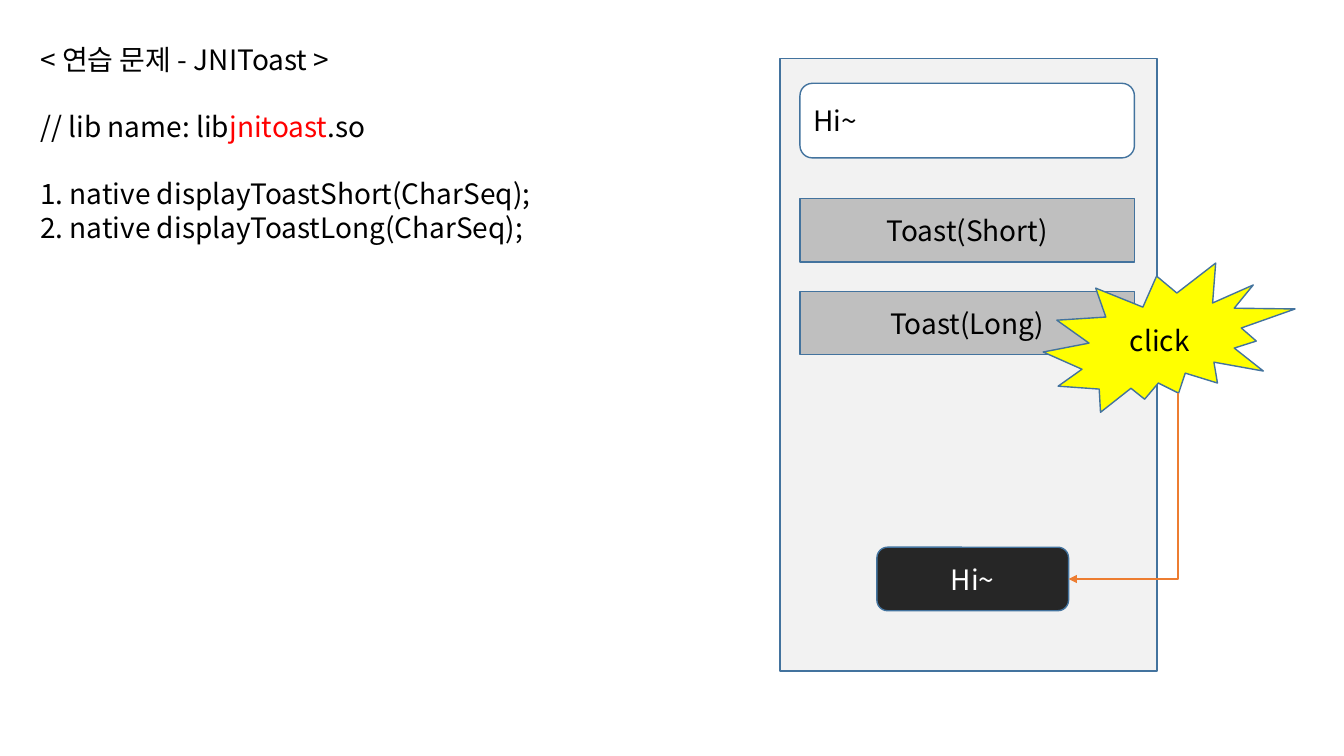
from lxml.etree import SubElement
from pptx import Presentation
from pptx.dml.color import RGBColor
from pptx.enum.shapes import MSO_CONNECTOR, MSO_SHAPE
from pptx.enum.text import MSO_ANCHOR, MSO_AUTO_SIZE, PP_ALIGN
from pptx.oxml.ns import qn
from pptx.util import Cm, Pt

COLORS = {
    "text": "000000", "accent": "FF0000", "white": "FFFFFF", "outline": "43739E",
    "screen": "F2F2F2", "button": "BFBFBF", "toast": "262626",
    "burst": "FFFF00", "arrow": "ED7D31",
}
FONT = "Noto Sans CJK KR"
LINE_PITCH = Pt(24)


def color(name):
    return RGBColor.from_string(COLORS[name])


def style_paragraph(para, align, ink="text"):
    para.alignment = align
    para.font.name = FONT
    para.font.size = Pt(20)
    para.font.color.rgb = color(ink)


def place_placeholder(holder, left, top, width, height):
    holder.left, holder.top = Cm(left), Cm(top)
    holder.width, holder.height = Cm(width), Cm(height)
    frame = holder.text_frame
    frame.auto_size = MSO_AUTO_SIZE.NONE
    frame.word_wrap = True
    frame.vertical_anchor = MSO_ANCHOR.TOP
    return frame


def style_line(para, gap=0):
    style_paragraph(para, PP_ALIGN.LEFT)
    para.line_spacing = LINE_PITCH
    para.space_before = Pt(gap)
    para.space_after = Pt(0)


def add_exercise(page, left, top, width):
    title = place_placeholder(page.shapes.title, left, top, width, 1.2)
    title.text = "< 연습 문제 - JNIToast >"
    style_line(title.paragraphs[0])

    body = place_placeholder(page.placeholders[1], left, top + 1.69, width, 4.5)
    lines = [
        (0, [("// lib name: lib", "text"), ("jnitoast", "accent"), (".so", "text")]),
        (24, [("1. native displayToastShort(CharSeq);", "text")]),
        (0, [("2. native displayToastLong(CharSeq);", "text")]),
    ]
    for index, (gap, spans) in enumerate(lines):
        para = body.add_paragraph() if index else body.paragraphs[0]
        style_line(para, gap)
        properties = para._p.get_or_add_pPr()
        properties.set("marL", "0")
        properties.set("indent", "0")
        bullet = SubElement(properties, qn("a:buNone"))
        properties.find(qn("a:defRPr")).addprevious(bullet)
        for words, ink in spans:
            span = para.add_run()
            span.text = words
            if ink != "text":
                span.font.color.rgb = color(ink)


def add_part(group, kind, box, fill, words="", ink="text", align=PP_ALIGN.CENTER):
    part = group.shapes.add_shape(kind, *(Cm(length) for length in box))
    part.shadow.inherit = False
    part.fill.solid()
    part.fill.fore_color.rgb = color(fill)
    part.line.color.rgb = color("outline")
    part.line.width = Pt(1)
    if words:
        frame = part.text_frame
        frame.word_wrap = True
        frame.vertical_anchor = MSO_ANCHOR.MIDDLE
        frame.text = words
        style_paragraph(frame.paragraphs[0], align, ink)


def add_bent_arrow(group, start, end):
    (start_x, start_y), (end_x, end_y) = start, end
    length, depth = end_y - start_y, start_x - end_x
    middle_x, middle_y = (start_x + end_x) / 2, (start_y + end_y) / 2
    arrow = group.shapes.add_connector(
        MSO_CONNECTOR.ELBOW,
        Cm(middle_x - length / 2), Cm(middle_y - depth / 2),
        Cm(middle_x + length / 2), Cm(middle_y + depth / 2),
    )
    arrow.line.color.rgb = color("arrow")
    arrow.line.width = Pt(1.5)
    properties = arrow.element.spPr
    properties.find(qn("a:xfrm")).set("rot", "5400000")
    properties.find(qn("a:prstGeom")).set("prst", "bentConnector2")
    SubElement(properties.find(qn("a:ln")), qn("a:tailEnd"), type="triangle")
    SubElement(properties, qn("a:effectLst"))


def add_phone(page, left, top, width, height):
    group = page.shapes.add_group_shape()
    inner_left, inner_width = left + 0.5, width - 1.07
    add_part(group, MSO_SHAPE.RECTANGLE, (left, top, width, height), "screen")
    add_part(group, MSO_SHAPE.ROUNDED_RECTANGLE,
             (inner_left, top + 0.63, inner_width, 1.88),
             "white", "Hi~", align=PP_ALIGN.LEFT)
    for row, words in enumerate(("Toast(Short)", "Toast(Long)")):
        add_part(group, MSO_SHAPE.RECTANGLE,
                 (inner_left, top + 3.53 + row * 2.34, inner_width, 1.6),
                 "button", words)
    add_part(group, MSO_SHAPE.EXPLOSION2, (left + 6.63, top + 5.16, 6.35, 3.76),
             "burst", "click")
    add_part(group, MSO_SHAPE.ROUNDED_RECTANGLE, (left + 2.44, top + 12.32, 4.83, 1.6),
             "toast", "Hi~", "white")
    add_bent_arrow(group, (left + 10.03, top + 8.43), (left + 7.27, top + 13.12))


def main():
    deck = Presentation()
    deck.slide_width, deck.slide_height = Cm(33.87), Cm(19.05)
    page = deck.slides.add_slide(deck.slide_layouts[1])
    add_exercise(page, 0.76, 0.94, 15)
    add_phone(page, 19.66, 1.47, 9.5, 15.44)
    deck.save("out.pptx")


if __name__ == "__main__":
    main()
